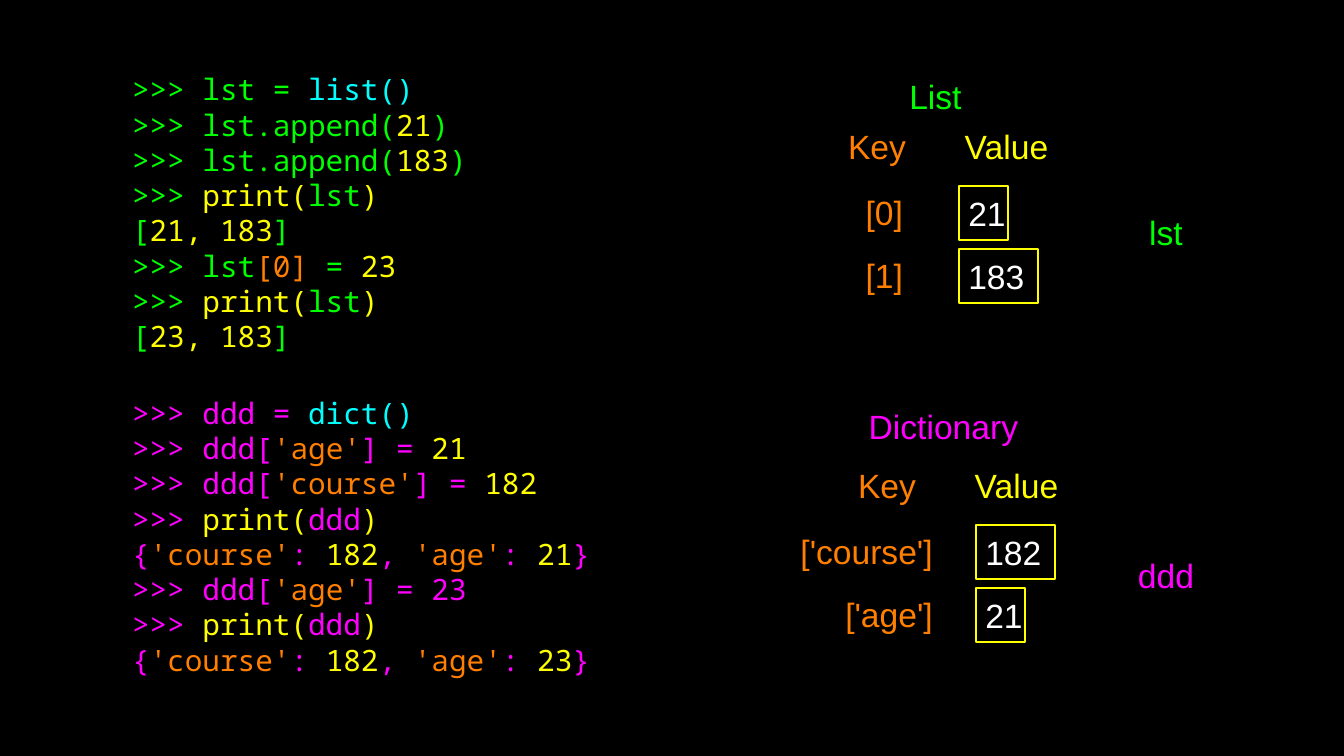
from dataclasses import dataclass

from lxml import etree
from pptx import Presentation
from pptx.dml.color import RGBColor
from pptx.enum.shapes import MSO_SHAPE
from pptx.enum.text import MSO_ANCHOR, MSO_AUTO_SIZE, PP_ALIGN
from pptx.oxml.ns import qn
from pptx.util import Pt

RECT = MSO_SHAPE.RECTANGLE
MIDDLE = MSO_ANCHOR.MIDDLE
FIXED = MSO_AUTO_SIZE.NONE
LEFT, CENTER, RIGHT = PP_ALIGN.LEFT, PP_ALIGN.CENTER, PP_ALIGN.RIGHT

BLACK = RGBColor(0, 0, 0)
WHITE = RGBColor(255, 255, 255)
GREEN = RGBColor(0, 255, 0)
CYAN = RGBColor(0, 255, 255)
YELLOW = RGBColor(255, 255, 0)
ORANGE = RGBColor(255, 127, 0)
PINK = RGBColor(255, 0, 255)
INKS = {"g": GREEN, "c": CYAN, "y": YELLOW, "o": ORANGE, "p": PINK}

PX = 12095
ROW = 63


@dataclass
class Box:
    x: int
    y: int
    w: int
    h: int


@dataclass
class Item:
    key: str
    span: int
    value: str
    width: int


@dataclass
class Panel:
    title: str
    head: Box
    name: str
    tag: Box
    ink: RGBColor
    key_x: int
    edge: int
    x: int
    y: int
    items: list[Item]
    area: Box
    code: list[str]


PRINT_LIST = "g>>> |yprint(|glst|y)"
PRINT_DICT = "p>>> |yprint(|pddd|y)"

PANELS = [
    Panel(
        "List", Box(896, 64, 79, 64), "lst", Box(1139, 200, 54, 64), GREEN,
        844, 903, 959, 186,
        [Item("[0]", 54, " 21", 49), Item("[1]", 54, " 183", 79)],
        Box(132, 64, 470, 297),
        [
            "g>>> lst = |clist()",
            "g>>> lst.append(|y21|g)",
            "g>>> lst.append(|y183|g)",
            PRINT_LIST,
            "g[|y21, 183|g]",
            "g>>> lst|o[0]|g = |y23",
            PRINT_LIST,
            "g[|y23, 183|g]",
        ],
    ),
    Panel(
        "Dictionary", Box(835, 394, 217, 64), "ddd", Box(1125, 543, 82, 64), PINK,
        854, 933, 976, 525,
        [Item("['course']", 153, " 182", 79), Item("['age']", 99, " 21", 49)],
        Box(132, 373, 514, 326),
        [
            "p>>> ddd = |cdict()",
            "p>>> ddd[|o'age'|p] = |y21",
            "p>>> ddd[|o'course'|p] = |y182",
            PRINT_DICT,
            "p{|o'course'|p: |y182|p, |o'age'|p: |y21|p}",
            "p>>> ddd[|o'age'|p] = 23",
            PRINT_DICT,
            "p{|o'course'|p: |y182|p, |o'age'|p: |y23|p}",
        ],
    ),
]


def place(shape, box: Box) -> None:
    shape.left, shape.top = box.x * PX, box.y * PX
    shape.width, shape.height = box.w * PX, box.h * PX


def set_frame(shape, wrap: bool):
    frame = shape.text_frame
    frame.margin_left = frame.margin_right = 0
    frame.margin_top = frame.margin_bottom = 0
    frame.auto_size = FIXED
    frame.vertical_anchor = MIDDLE
    frame.word_wrap = wrap
    return frame


def set_para(para, align) -> None:
    para.alignment = align
    para.space_before = para.space_after = Pt(0)
    props = para._p.get_or_add_pPr()
    props.set("marL", "0")
    props.set("indent", "0")
    etree.SubElement(props, qn("a:buNone"))


def add_run(para, text: str, ink: RGBColor, font: str, size: int) -> None:
    run = para.add_run()
    run.text = text
    run.font.name = font
    run.font.size = Pt(size)
    run.font.bold = False
    run.font.color.rgb = ink


def write(shape, text: str, ink: RGBColor, align) -> None:
    para = set_frame(shape, False).paragraphs[0]
    set_para(para, align)
    add_run(para, text, ink, "Arial", 32)


def add_label(slide, box: Box, text: str, ink: RGBColor, align) -> None:
    shape = slide.shapes.add_textbox(0, 0, 0, 0)
    place(shape, box)
    write(shape, text, ink, align)


def add_cell(slide, box: Box, text: str) -> None:
    shape = slide.shapes.add_shape(RECT, 0, 0, 0, 0)
    place(shape, box)
    shape.shadow.inherit = False
    shape.fill.background()
    shape.line.color.rgb = YELLOW
    shape.line.width = Pt(2)
    write(shape, text, WHITE, LEFT)


def fill_code(shape, box: Box, lines: list[str]) -> None:
    place(shape, box)
    frame = set_frame(shape, True)
    for i, line in enumerate(lines):
        para = frame.add_paragraph() if i else frame.paragraphs[0]
        set_para(para, LEFT)
        para.line_spacing = Pt(33.6)
        for part in line.split("|"):
            add_run(para, part[1:], INKS[part[0]], "Noto Sans Mono", 28)


def draw_panel(slide, panel: Panel, head, body) -> None:
    place(head, panel.head)
    write(head, panel.title, panel.ink, CENTER)
    fill_code(body, panel.area, panel.code)
    top = panel.y - 65
    add_label(slide, Box(panel.key_x, top, 66, 51), "Key", ORANGE, CENTER)
    add_label(slide, Box(panel.key_x + 117, top, 91, 51), "Value", YELLOW, CENTER)
    for i, item in enumerate(panel.items):
        y = panel.y + i * ROW
        slot = Box(panel.edge - item.span, y + 1, item.span, 51)
        add_label(slide, slot, item.key, ORANGE, RIGHT)
        add_cell(slide, Box(panel.x, y, item.width, 54), item.value)
    add_label(slide, panel.tag, panel.name, panel.ink, CENTER)


def main() -> None:
    deck = Presentation()
    deck.slide_width, deck.slide_height = 1344 * PX, 756 * PX
    slide = deck.slides.add_slide(deck.slide_layouts[4])
    slide.background.fill.solid()
    slide.background.fill.fore_color.rgb = BLACK
    title, *slots = slide.placeholders
    title._element.getparent().remove(title._element)
    for panel, head, body in zip(PANELS, slots[::2], slots[1::2]):
        draw_panel(slide, panel, head, body)
    deck.save("out.pptx")


if __name__ == "__main__":
    main()
